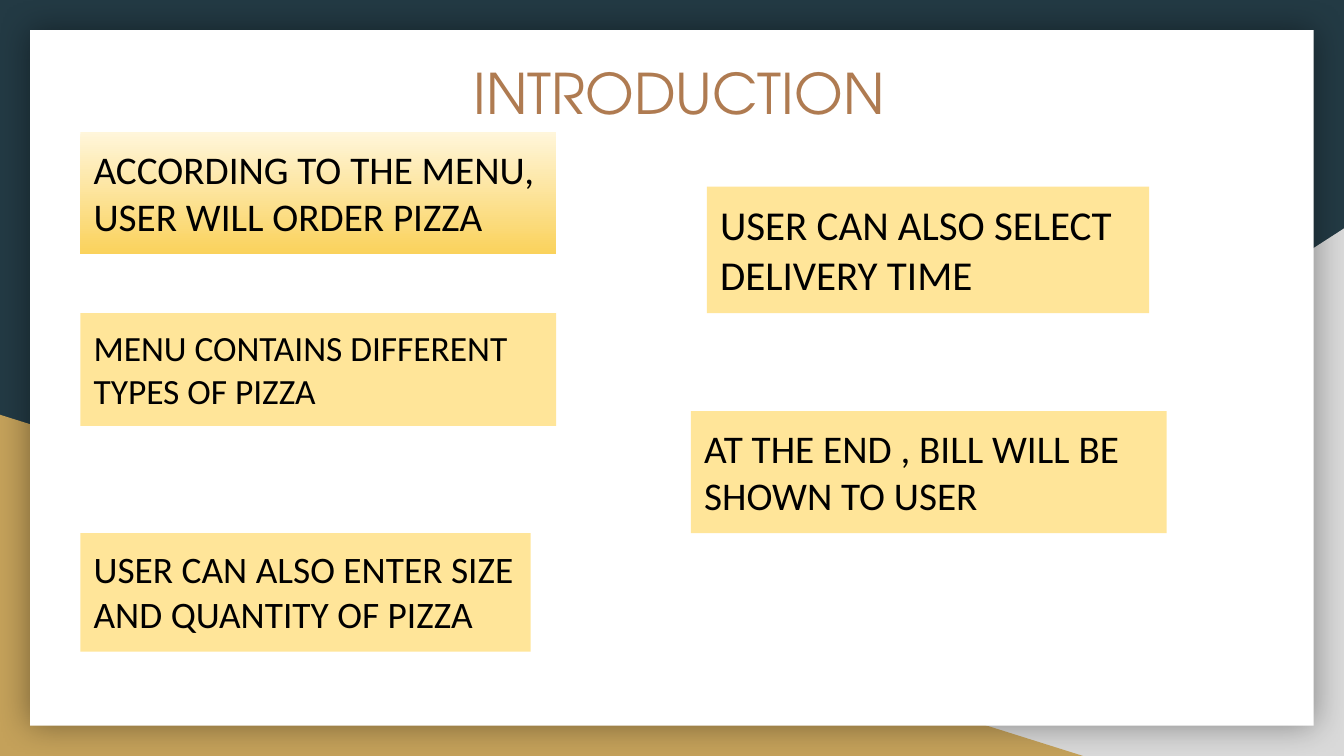
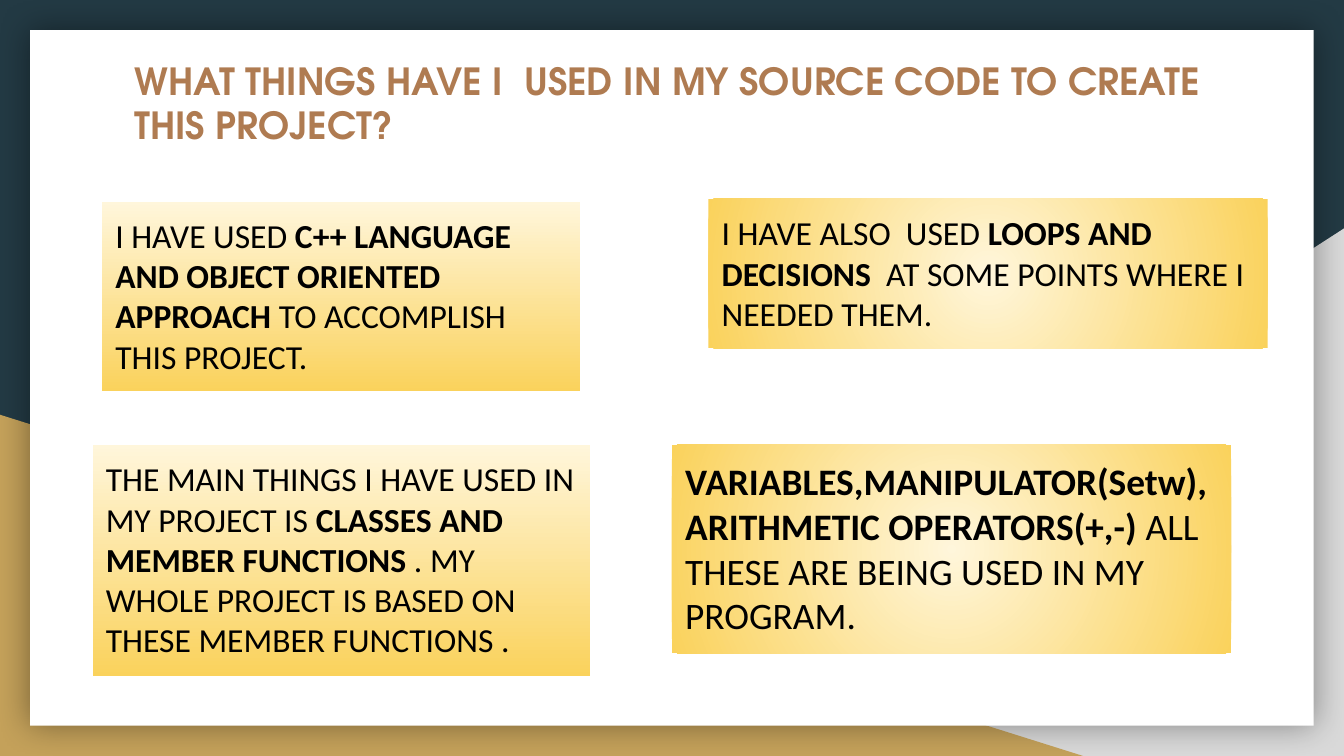
import pptx
import pptx.util
import pptx.dml.color
import pptx.enum.shapes
import pptx.enum.text
import pptx.oxml
import pptx.oxml.ns

Cm = pptx.util.Cm
RGBColor = pptx.dml.color.RGBColor
Align = pptx.enum.text.PP_ALIGN
Fit = pptx.enum.text.MSO_AUTO_SIZE
Preset = pptx.enum.shapes.MSO_SHAPE

WIDTH, HEIGHT, MARGIN = 25.4, 14.29, 0.57
INSET = Cm(0.25)
TITLE_FONT, BODY_FONT = "TeX Gyre Adventor", "Calibri"

NAVY = RGBColor(0x23, 0x3A, 0x44)
GREY = RGBColor(0xD9, 0xD9, 0xD9)
GOLD = RGBColor(0xC4, 0xA1, 0x5A)
WHITE = RGBColor(0xFF, 0xFF, 0xFF)
BLACK = RGBColor(0x00, 0x00, 0x00)
BROWN = RGBColor(0xAF, 0x7B, 0x51)
SAND = RGBColor(0xFF, 0xE5, 0x99)
CREAM = RGBColor(0xFF, 0xF6, 0xDB)
AMBER = RGBColor(0xFA, 0xD2, 0x5C)

PAGES = [
    {
        "title": "INTRODUCTION",
        "place": (2.41, 0.86), "size": 30, "bold": False, "align": Align.CENTER,
        "boxes": [
            ((1.52, 2.49, 8.99, 2.31), "linear", 21,
             [[("ACCORDING TO THE MENU,", False)], [("USER WILL ORDER PIZZA ", False)]]),
            ((1.52, 10.08, 8.51, 2.24), "solid", 20,
             [[("USER CAN ALSO ENTER SIZE AND QUANTITY OF PIZZA", False)]]),
            ((1.52, 5.92, 8.99, 2.13), "solid", 19,
             [[("MENU CONTAINS DIFFERENT TYPES OF PIZZA", False)]]),
            ((13.36, 3.53, 8.36, 2.39), "solid", 22,
             [[("USER CAN ALSO SELECT DELIVERY TIME", False)]]),
            ((13.06, 7.77, 8.99, 2.31), "solid", 21,
             [[("AT THE END , BILL WILL BE SHOWN TO USER", False)]]),
        ],
    },
    {
        "title": "WHAT THINGS HAVE I  USED IN MY SOURCE CODE TO CREATE THIS PROJECT?",
        "place": (2.29, 0.84), "size": 20, "bold": True, "align": Align.LEFT,
        "boxes": [
            ((1.75, 8.41, 9.4, 4.37), "linear", 18,
             [[("THE MAIN THINGS I HAVE USED IN MY PROJECT IS ", False),
               ("CLASSES AND MEMBER FUNCTIONS ", True),
               (". MY WHOLE PROJECT IS BASED ON THESE MEMBER FUNCTIONS .", False)]]),
            ((13.39, 3.76, 10.57, 2.82), "radial", 18,
             [[("I HAVE ALSO  USED", False), (" LOOPS AND DECISIONS ", True),
               (" AT SOME POINTS WHERE I NEEDED THEM.", False)]]),
            ((12.7, 8.41, 10.57, 3.94), "radial", 20,
             [[("VARIABLES,MANIPULATOR(Setw), ARITHMETIC OPERATORS(+,-) ", True),
               ("ALL THESE ARE BEING USED IN MY PROGRAM.", False)]]),
            ((1.93, 3.81, 9.04, 3.58), "linear", 18,
             [[("I HAVE USED ", False),
               ("C++ LANGUAGE AND OBJECT ORIENTED APPROACH", True),
               (" TO ACCOMPLISH THIS PROJECT.", False)]]),
        ],
    },
]


def add_plain(page, preset, place, colour):
    shape = page.shapes.add_shape(preset, *map(Cm, place))
    shape.shadow.inherit = False
    shape.line.fill.background()
    shape.fill.solid()
    shape.fill.fore_color.rgb = colour
    return shape


def add_glow(shape):
    effects = shape.element.spPr.find(pptx.oxml.ns.qn("a:effectLst"))
    effects.append(pptx.oxml.parse_xml(
        f'<a:outerShdw {pptx.oxml.ns.nsdecls("a")} blurRad="{pptx.util.Pt(18)}" dist="0" dir="0" '
        'algn="ctr" rotWithShape="0"><a:srgbClr val="000000"><a:alpha val="40000"/>'
        '</a:srgbClr></a:outerShdw>'))


def build_backdrop(layout, page):
    layout.background.fill.solid()
    layout.background.fill.fore_color.rgb = NAVY
    grey = add_plain(page, Preset.RIGHT_TRIANGLE, (WIDTH - 15.44, HEIGHT - 9.97, 15.44, 9.97), GREY)
    grey.element.spPr.xfrm.set("flipH", "1")
    gold = add_plain(page, Preset.RIGHT_TRIANGLE, (0, HEIGHT - 6.45, 20.47, 6.45), GOLD)
    panel = add_plain(page, Preset.RECTANGLE,
                      (MARGIN, MARGIN, WIDTH - 2 * MARGIN, HEIGHT - 2 * MARGIN), WHITE)
    add_glow(panel)
    for position, shape in enumerate((grey, gold, panel), start=2):
        layout.shapes.element.insert(position, shape.element)


def paint_gradient(shape, style):
    shape.fill.gradient()
    for stop, colour, position in zip(shape.fill.gradient_stops, (CREAM, AMBER), (0, 1)):
        stop.color.rgb = colour
        stop.position = position
    shape.fill.gradient_angle = 270
    if style == "radial":
        linear = shape.element.spPr.find(".//" + pptx.oxml.ns.qn("a:lin"))
        linear.getparent().replace(linear, pptx.oxml.parse_xml(
            f'<a:path {pptx.oxml.ns.nsdecls("a")} path="circle">'
            '<a:fillToRect l="50000" t="50000" r="50000" b="50000"/></a:path>'))


def write(frame, paragraphs, font, size, colour, align, fit):
    frame.word_wrap = True
    frame.auto_size = fit
    frame.vertical_anchor = pptx.enum.text.MSO_ANCHOR.TOP
    frame.margin_left = frame.margin_right = frame.margin_top = frame.margin_bottom = INSET
    for number, spans in enumerate(paragraphs):
        para = frame.add_paragraph() if number else frame.paragraphs[0]
        para.alignment = align
        for text, bold in spans:
            span = para.add_run()
            span.text = text
            span.font.name = font
            span.font.size = pptx.util.Pt(size)
            span.font.bold = bold
            span.font.color.rgb = colour


def fill_page(page, content):
    title = page.shapes.title
    title.left, title.top = map(Cm, content["place"])
    title.width, title.height = Cm(20.85), Cm(2.64)
    write(title.text_frame, [[(content["title"], content["bold"])]], TITLE_FONT,
          content["size"], BROWN, content["align"], Fit.NONE)
    for place, style, size, paragraphs in content["boxes"]:
        box = add_plain(page, Preset.RECTANGLE, place, SAND)
        if style != "solid":
            paint_gradient(box, style)
        write(box.text_frame, paragraphs, BODY_FONT, size, BLACK, Align.LEFT,
              Fit.SHAPE_TO_FIT_TEXT)


def main():
    deck = pptx.Presentation()
    deck.slide_width, deck.slide_height = Cm(WIDTH), Cm(HEIGHT)
    layout = deck.slide_layouts[5]
    pages = [deck.slides.add_slide(layout) for _ in PAGES]
    build_backdrop(layout, pages[0])
    for page, content in zip(pages, PAGES):
        fill_page(page, content)
    deck.save("out.pptx")


if __name__ == "__main__":
    main()
